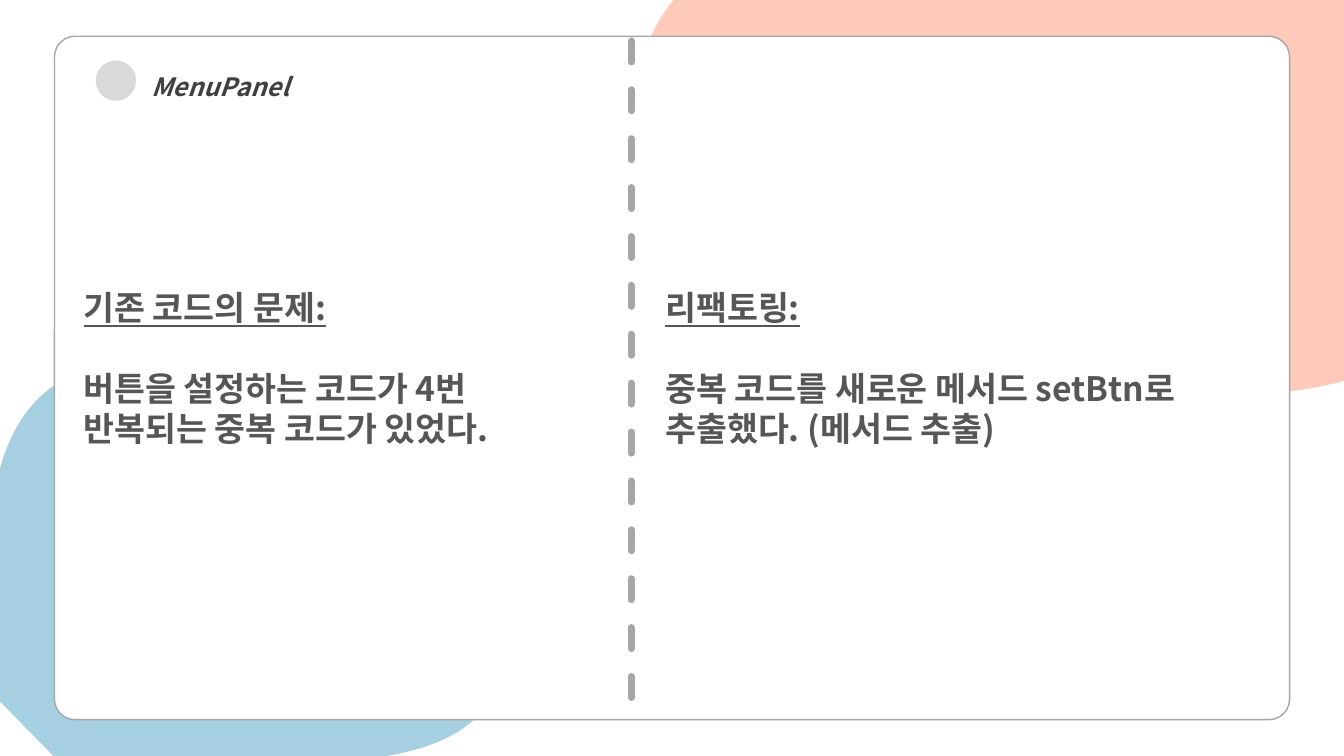
"""Build the MenuPanel refactoring comparison slide."""
from dataclasses import dataclass

from lxml.etree import SubElement
from pptx import Presentation
from pptx.dml.color import RGBColor
from pptx.enum.dml import MSO_LINE
from pptx.enum.shapes import MSO_CONNECTOR, MSO_SHAPE
from pptx.enum.text import MSO_ANCHOR, MSO_AUTO_SIZE, PP_ALIGN
from pptx.oxml.ns import qn
from pptx.shapes.autoshape import Shape
from pptx.slide import Slide
from pptx.text.text import TextFrame, _Paragraph
from pptx.util import Inches, Pt

FONT = "Noto Sans CJK KR"
GRAY = "A6A6A6"
Point = tuple[float, float]


@dataclass
class Blob:
    """A background outline; a segment of three points is a cubic curve."""
    color: str
    box: tuple[float, float, float, float]
    start: Point
    segments: list[list[Point]]


@dataclass
class Panel:
    """A heading with its explanation, in one half of the card."""
    left: float
    width: float
    heading: str
    body: str


BLOBS = [
    Blob("A6CFE1", (0, 3.61, 4.95, 3.89), (1.37, 3.61),
         [[(3.44, 3.67), (6.68, 7.03), (3.83, 7.5)], [(0.53, 7.5)], [(0, 6.96)],
          [(0, 4.65)], [(0.21, 3.88), (0.73, 3.59), (1.37, 3.61)]]),
    Blob("FFCABA", (6.37, 0, 6.96, 3.93), (13.33, 0),
         [[(13.33, 3.78)], [(10.32, 4.57), (5.04, 2), (6.68, 0)]]),
]
PANELS = [
    Panel(0.73, 5.29, "기존 코드의 문제:",
          "버튼을 설정하는 코드가 4번 반복되는 중복 코드가 있었다."),
    Panel(6.5, 6.05, "리팩토링:",
          "중복 코드를 새로운 메서드 setBtn로 추출했다. (메서드 추출)"),
]


def rgb(color: str) -> RGBColor:
    """Turn a hex string into a colour."""
    return RGBColor.from_string(color)


def paint(shape: Shape, fill: str, line: str | None = None) -> None:
    """Give a shape a flat fill and an optional thin outline."""
    shape.shadow.inherit = False
    shape.fill.solid()
    shape.fill.fore_color.rgb = rgb(fill)
    if line:
        shape.line.color.rgb = rgb(line)
        shape.line.width = Pt(1)
    else:
        shape.line.fill.background()


def add_blob(slide: Slide, blob: Blob) -> None:
    """Draw a background outline with true curves."""
    left, top, width, height = map(Inches, blob.box)
    ends = [(Inches(x), Inches(y)) for x, y in (segment[-1] for segment in blob.segments)]
    builder = slide.shapes.build_freeform(*map(Inches, blob.start))
    builder.add_line_segments(ends, close=True)
    shape = builder.convert_to_shape()
    shape.left, shape.top, shape.width, shape.height = left, top, width, height
    outline = next(shape._element.iter(qn("a:path")))
    for child in list(outline):
        outline.remove(child)
    outline.set("w", str(width))
    outline.set("h", str(height))
    for index, points in enumerate([[blob.start], *blob.segments]):
        tag = "a:moveTo" if index == 0 else "a:cubicBezTo" if len(points) == 3 else "a:lnTo"
        command = SubElement(outline, qn(tag))
        for x, y in points:
            SubElement(command, qn("a:pt"), x=str(Inches(x) - left), y=str(Inches(y) - top))
    SubElement(outline, qn("a:close"))
    paint(shape, blob.color)


def add_preset(slide: Slide, kind: MSO_SHAPE, box: tuple[float, ...], fill: str,
               line: str | None = None) -> Shape:
    """Draw a preset shape in a box given in inches."""
    shape = slide.shapes.add_shape(kind, *map(Inches, box))
    paint(shape, fill, line)
    return shape


def add_run(paragraph: _Paragraph, text: str, size: float, color: str,
            italic: bool = False, underline: bool = False) -> None:
    """Add a bold run in the slide font."""
    run = paragraph.add_run()
    run.text = text
    font = run.font
    font.name = FONT
    font.size = Pt(size)
    font.bold = True
    font.italic = italic
    font.underline = underline
    font.color.rgb = rgb(color)
    SubElement(font._element, qn("a:ea"), typeface=FONT)


def set_frame(frame: TextFrame) -> None:
    """Wrap text from the top of its box."""
    frame.word_wrap = True
    frame.auto_size = MSO_AUTO_SIZE.NONE
    frame.vertical_anchor = MSO_ANCHOR.TOP
    frame.margin_left = frame.margin_right = Inches(0.1)
    frame.margin_top = frame.margin_bottom = Inches(0.05)


def add_title(slide: Slide, text: str) -> None:
    """Place the title in front of the card."""
    title = slide.shapes.title
    title.left, title.top = Inches(1.4), Inches(0.51)
    title.width, title.height = Inches(4.43), Inches(0.5)
    slide.shapes._spTree.append(title._element)
    set_frame(title.text_frame)
    paragraph = title.text_frame.paragraphs[0]
    paragraph.alignment = PP_ALIGN.LEFT
    paragraph.line_spacing = 1.5
    paragraph.space_before = Pt(0)
    add_run(paragraph, text, 18, "404040", italic=True)


def add_panel(slide: Slide, panel: Panel) -> None:
    """Write an underlined heading and the text below it."""
    box = slide.shapes.add_textbox(Inches(panel.left), Inches(2.8),
                                   Inches(panel.width), Inches(1.95))
    set_frame(box.text_frame)
    add_run(box.text_frame.paragraphs[0], panel.heading, 24, "565656", underline=True)
    body = box.text_frame.add_paragraph()
    body.space_before = Pt(28.5)
    add_run(body, panel.body, 24, "565656")


def add_divider(slide: Slide) -> None:
    """Draw the dashed vertical line with round caps."""
    x = Inches(6.26)
    divider = slide.shapes.add_connector(MSO_CONNECTOR.STRAIGHT, x, Inches(6.92),
                                         x, Inches(0.33))
    divider.line.color.rgb = rgb(GRAY)
    divider.line.width = Pt(5)
    divider.line.dash_style = MSO_LINE.DASH
    properties = divider._element.spPr
    properties.find(qn("a:ln")).set("cap", "rnd")
    SubElement(properties, qn("a:effectLst"))


def main() -> None:
    """Build and save the slide."""
    presentation = Presentation()
    presentation.slide_width = Inches(13.33)
    presentation.slide_height = Inches(7.5)
    slide = presentation.slides.add_slide(presentation.slide_layouts[5])
    for blob in BLOBS:
        add_blob(slide, blob)
    card = add_preset(slide, MSO_SHAPE.ROUNDED_RECTANGLE, (0.54, 0.36, 12.25, 6.78),
                      "FFFFFF", GRAY)
    card.adjustments[0] = 0.03
    add_title(slide, "MenuPanel")
    add_preset(slide, MSO_SHAPE.OVAL, (0.95, 0.6, 0.4, 0.4), "D9D9D9")
    for panel in PANELS:
        add_panel(slide, panel)
    add_divider(slide)
    presentation.save("out.pptx")


if __name__ == "__main__":
    main()
